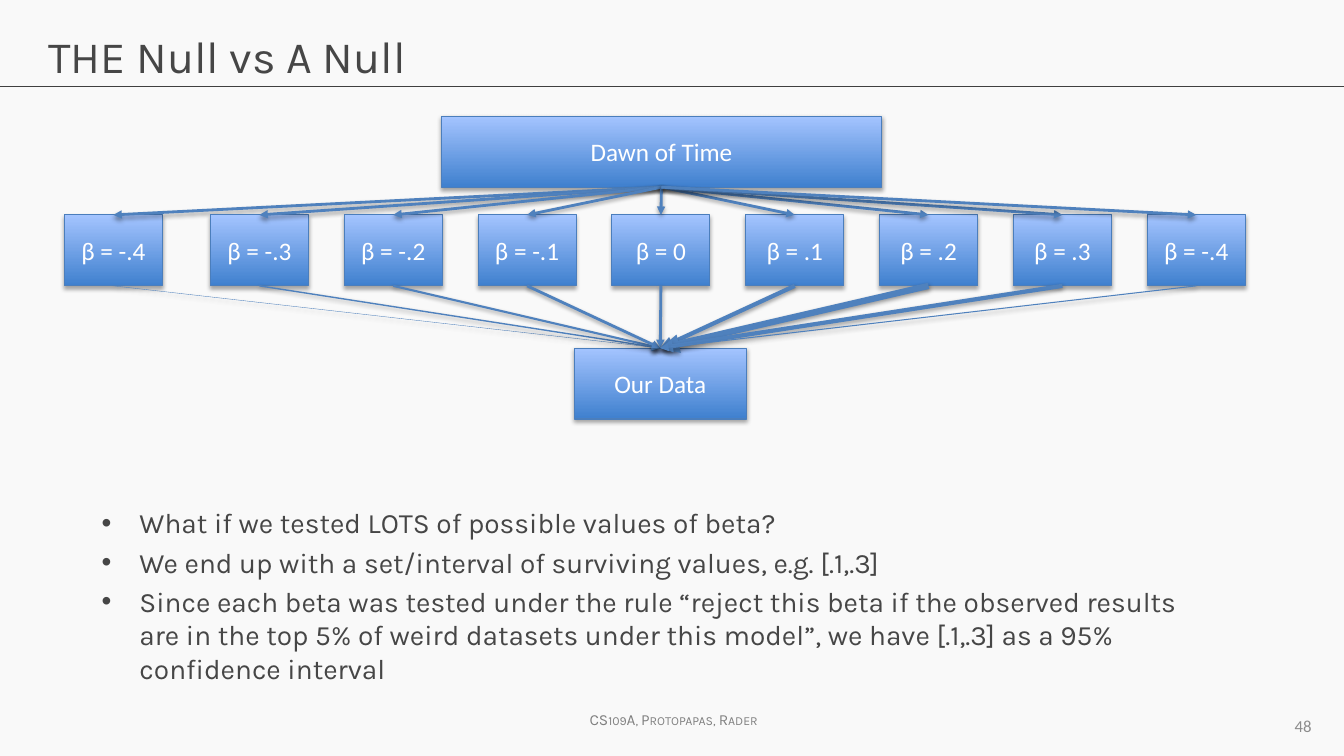
from lxml.etree import SubElement
from pptx import Presentation
from pptx.dml.color import RGBColor
from pptx.enum.shapes import MSO_CONNECTOR, MSO_SHAPE
from pptx.enum.text import MSO_ANCHOR, PP_ALIGN
from pptx.oxml.ns import qn
from pptx.util import Pt

TITLE = "THE Null vs A Null"
FOOTER = "CS109A, Protopapas, Rader"
PAGE = "48"
SOURCE = ("Dawn of Time", 315.5, 83, 314)
DATA = ("Our Data", 410.3, 248.6, 122.7)
BETAS = [
    ("β = -.4", 0.25),
    ("β = -.3", 1),
    ("β = -.2", 1.5),
    ("β = -.1", 2),
    ("β = 0", 2),
    ("β = .1", 3),
    ("β = .2", 4.5),
    ("β = .3", 3),
    ("β = -.4", 0.75),
]
BULLETS = [
    "What if we tested LOTS of possible values of beta?",
    "We end up with a set/interval of surviving values, e.g. [.1,.3]",
    "Since each beta was tested under the rule “reject this beta if the observed results "
    "are in the top 5% of weird datasets under this model”, we have [.1,.3] as a 95% "
    "confidence interval",
]
COLORS = {
    "bg": "F9F9F9", "rule": "404040", "text": "464646", "footer": "808080",
    "page": "8C8C8C", "dark": "3F80CE", "light": "A4C4FF", "edge": "4B7EBC",
    "arrow": "4F81BD", "white": "FFFFFF", "shadow": "000000",
}
BOX_H = 50.7
BETA_W = 70
BETA_TOP = 153.5
FIRST_LEFT = 46
SECOND_LEFT = 150.3
PITCH = 95.6


def rgb(name):
    return RGBColor.from_string(COLORS[name])


def style(p, size, color, font="Karla"):
    for r in p.runs:
        r.font.size = Pt(size)
        r.font.name = font
        r.font.color.rgb = rgb(color)


def add_text(s, x, y, w, h, lines, size, color, font="Karla", wrap=True):
    tf = s.shapes.add_textbox(Pt(x), Pt(y), Pt(w), Pt(h)).text_frame
    tf.word_wrap = wrap
    tf.text = "\n".join(lines)
    for p in tf.paragraphs:
        style(p, size, color, font)
    return tf


def add_shadow(sp, dist, alpha):
    effects = sp._element.spPr.find(qn("a:effectLst"))
    if effects is None:
        effects = SubElement(sp._element.spPr, qn("a:effectLst"))
    shadow = SubElement(effects, qn("a:outerShdw"), blurRad="40000", dist=str(Pt(dist)),
                        dir="5400000", rotWithShape="0")
    color = SubElement(shadow, qn("a:srgbClr"), val=COLORS["shadow"])
    SubElement(color, qn("a:alpha"), val=str(alpha * 1000))


def add_box(s, text, x, y, w):
    sp = s.shapes.add_shape(MSO_SHAPE.RECTANGLE, Pt(x), Pt(y), Pt(w), Pt(BOX_H))
    sp.fill.gradient()
    sp.fill.gradient_angle = 90
    for stop, name in zip(sp.fill.gradient_stops, ("dark", "light")):
        stop.color.rgb = rgb(name)
    sp.line.color.rgb = rgb("edge")
    sp.line.width = Pt(0.75)
    sp.shadow.inherit = False
    add_shadow(sp, 1.8, 35)
    tf = sp.text_frame
    tf.text = text
    tf.vertical_anchor = MSO_ANCHOR.MIDDLE
    p = tf.paragraphs[0]
    p.alignment = PP_ALIGN.CENTER
    style(p, 18, "white", "Calibri")


def add_line(s, start, end, width, color):
    line = s.shapes.add_connector(MSO_CONNECTOR.STRAIGHT, *map(Pt, start + end))
    line.line.color.rgb = rgb(color)
    line.line.width = Pt(width)
    SubElement(line._element.spPr, qn("a:effectLst"))
    return line


def add_arrow(s, start, end, width):
    line = add_line(s, start, end, width, "arrow")
    SubElement(line._element.spPr.find(qn("a:ln")), qn("a:tailEnd"), type="triangle")
    add_shadow(line, 1.6, 38)


def add_diagram(s):
    add_box(s, *SOURCE)
    add_box(s, *DATA)
    origin = (SOURCE[1] + SOURCE[3] / 2, SOURCE[2] + BOX_H)
    target = (DATA[1] + DATA[3] / 2, DATA[2])
    lefts = [FIRST_LEFT] + [SECOND_LEFT + PITCH * i for i in range(len(BETAS) - 1)]
    for (label, width), left in zip(BETAS, lefts):
        center = left + BETA_W / 2
        add_box(s, label, left, BETA_TOP, BETA_W)
        add_arrow(s, origin, (center, BETA_TOP), 2)
        add_arrow(s, (center, BETA_TOP + BOX_H), target, width)


def add_bullets(s):
    tf = add_text(s, 65.5, 357.8, 813, 175, BULLETS, 20, "text")
    for i, p in enumerate(tf.paragraphs):
        pPr = p._p.get_or_add_pPr()
        pPr.set("marL", str(Pt(27)))
        pPr.set("indent", str(-Pt(27)))
        SubElement(pPr, qn("a:buFont"), typeface="Arial")
        SubElement(pPr, qn("a:buChar"), char="•")
        if i:
            p.space_before = Pt(4)


def main():
    prs = Presentation()
    prs.slide_width, prs.slide_height = Pt(960), Pt(540)
    s = prs.slides.add_slide(prs.slide_layouts[6])
    s.background.fill.solid()
    s.background.fill.fore_color.rgb = rgb("bg")
    add_line(s, (0, 62), (960, 62), 0.75, "rule")
    tf = add_text(s, 414, 504, 142, 21, [FOOTER], 11, "footer", wrap=False)
    tf.paragraphs[0].runs[0].font._element.set("cap", "small")
    add_text(s, 27.4, 17.3, 905, 60.5, [TITLE], 32, "text")
    add_bullets(s)
    tf = add_text(s, 720, 504, 224, 28.8, [PAGE], 12, "page", "Calibri")
    tf.vertical_anchor = MSO_ANCHOR.MIDDLE
    tf.paragraphs[0].alignment = PP_ALIGN.RIGHT
    add_diagram(s)
    prs.save("out.pptx")


if __name__ == "__main__":
    main()
